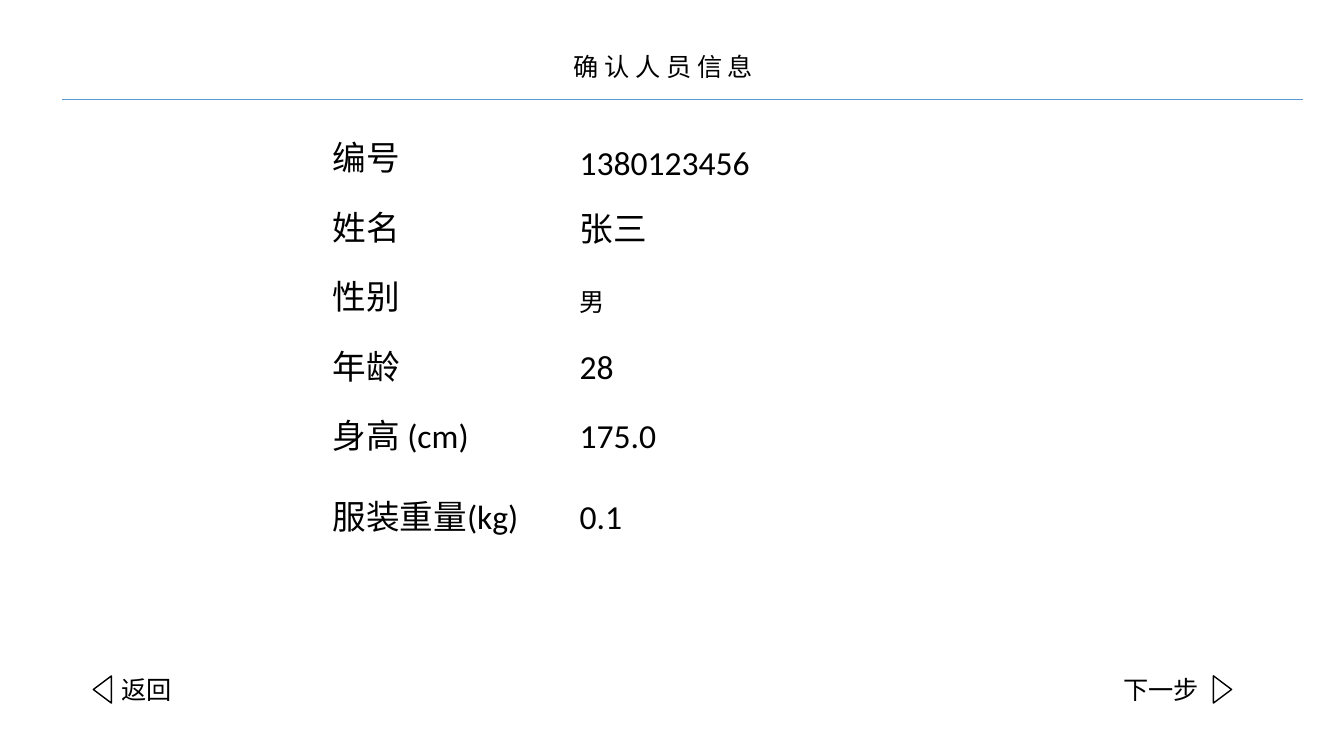
import dataclasses

import lxml.etree
import pptx
import pptx.dml.color
import pptx.enum.shapes
import pptx.enum.text
import pptx.oxml.ns
import pptx.util


@dataclasses.dataclass(frozen=True)
class Theme:
    ink: pptx.dml.color.RGBColor = pptx.dml.color.RGBColor(0, 0, 0)
    paper: pptx.dml.color.RGBColor = pptx.dml.color.RGBColor(255, 255, 255)
    rule: pptx.dml.color.RGBColor = pptx.dml.color.RGBColor(0x5B, 0x9B, 0xD5)
    title_font: str = "Noto Sans CJK SC"
    body_font: str = "Calibri"
    large: int = 24
    small: int = 18


theme = Theme()
inches = pptx.util.Inches
shape_type = pptx.enum.shapes.MSO_SHAPE
align = pptx.enum.text.PP_ALIGN

presentation = pptx.Presentation()
presentation.slide_width = inches(13.33)
presentation.slide_height = inches(7.5)
slide = presentation.slides.add_slide(presentation.slide_layouts[5])


def write(shape, text, size, font=theme.body_font, alignment=align.LEFT):
    frame = shape.text_frame
    frame.word_wrap = True
    frame.auto_size = pptx.enum.text.MSO_AUTO_SIZE.NONE
    frame.vertical_anchor = pptx.enum.text.MSO_ANCHOR.TOP
    frame.text = text
    paragraph = frame.paragraphs[0]
    paragraph.alignment = alignment
    paragraph.font.name = font
    paragraph.font.size = pptx.util.Pt(size)
    paragraph.font.color.rgb = theme.ink


def add_box(kind, left, top, width, height):
    shape = slide.shapes.add_shape(kind, inches(left), inches(top), inches(width), inches(height))
    shape.shadow.inherit = False
    shape.fill.solid()
    shape.fill.fore_color.rgb = theme.paper
    shape.line.fill.background()
    return shape


title = slide.shapes.title
title.left, title.top, title.width, title.height = map(inches, (2.78, 0.46, 7.6, 0.4))
write(title, "确 认 人 员 信 息", theme.small, theme.title_font, align.CENTER)

rule = slide.shapes.add_connector(
    pptx.enum.shapes.MSO_CONNECTOR.STRAIGHT, inches(0.62), inches(0.99), inches(12.92), inches(0.99)
)
rule.line.color.rgb = theme.rule
rule.line.width = pptx.util.Pt(0.5)
lxml.etree.SubElement(rule._element.spPr, pptx.oxml.ns.qn("a:effectLst"))

label_left, value_left = 3.2, 5.65
first_row, row_pitch, row_height = 1.31, 0.69, 0.5
fields = [
    ("编号", "1380123456", 0, 0.05, theme.large),
    ("姓名", "张三", 0, 0.01, theme.large),
    ("性别", "男", 0, 0.1, theme.small),
    ("年龄", "28", 0, 0, theme.large),
    ("身高 (cm)", "175.0", 0, 0, theme.large),
    ("服装重量(kg)", "0.1", 0.11, 0, theme.large),
]
for row, (label, value, row_drop, value_drop, value_size) in enumerate(fields):
    top = first_row + row * row_pitch + row_drop
    label_box = slide.shapes.add_textbox(inches(label_left), inches(top), inches(2.35), inches(row_height))
    write(label_box, label, theme.large)
    if value_size == theme.large:
        value_box = add_box(shape_type.RECTANGLE, value_left, top + value_drop, 4.56, row_height)
    else:
        value_box = slide.shapes.add_textbox(
            inches(value_left), inches(top + value_drop), inches(0.41), inches(0.4)
        )
    write(value_box, value, value_size)

buttons = [("返回", 1.11, 0.88, 270), ("下一步", 11.04, 11.99, 90)]
for caption, caption_left, arrow_left, rotation in buttons:
    caption_box = slide.shapes.add_textbox(inches(caption_left), inches(6.64), inches(1.27), inches(0.4))
    write(caption_box, caption, theme.small)
    arrow = add_box(shape_type.ISOSCELES_TRIANGLE, arrow_left, 6.75, 0.27, 0.18)
    arrow.rotation = rotation
    arrow.line.color.rgb = theme.ink
    arrow.line.width = pptx.util.Pt(1)

presentation.save("out.pptx")
